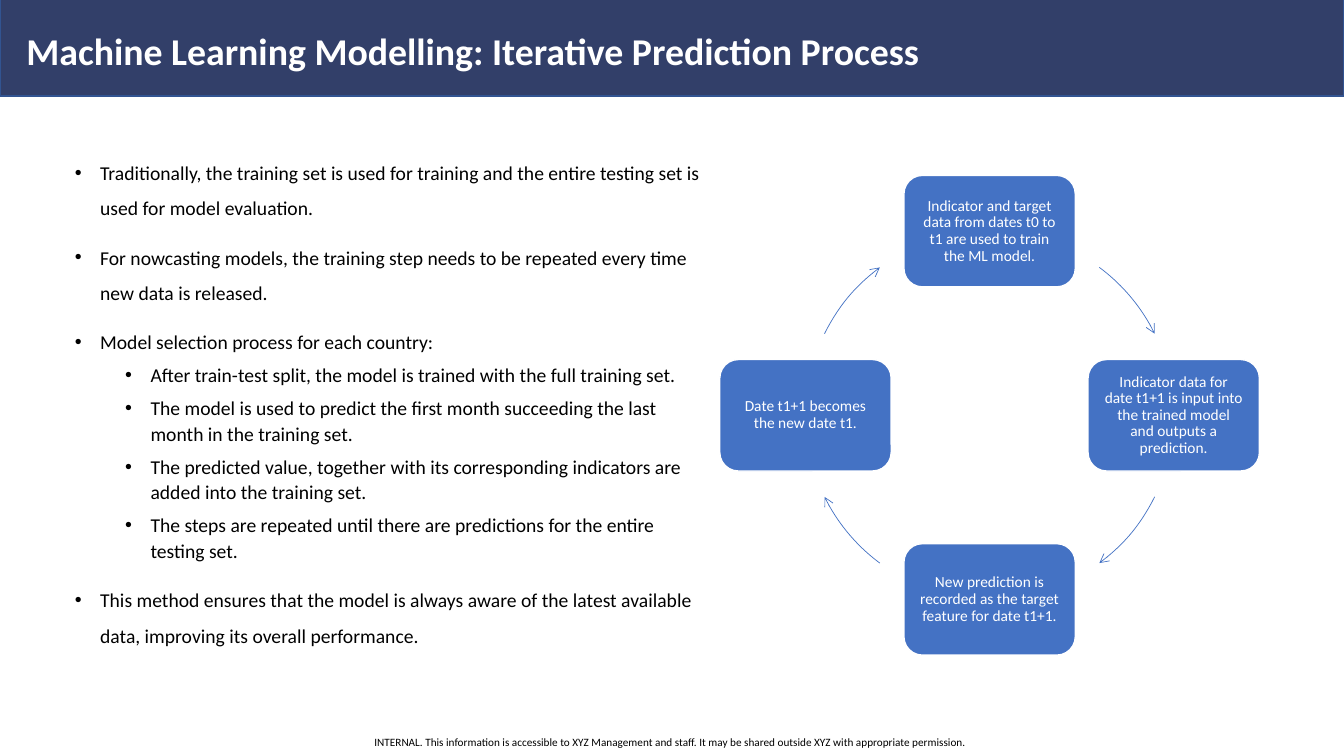
from lxml.etree import SubElement
from pptx import Presentation
from pptx.dml.color import RGBColor
from pptx.enum.shapes import MSO_SHAPE
from pptx.enum.text import MSO_ANCHOR, MSO_AUTO_SIZE, PP_ALIGN
from pptx.oxml.ns import qn
from pptx.util import Cm, Pt

TITLE = "Machine Learning Modelling: Iterative Prediction Process"
POINTS = [
    (0, "Traditionally, the training set is used for training and the entire "
        "testing set is used for model evaluation."),
    (0, "For nowcasting models, the training step needs to be repeated every "
        "time new data is released."),
    (0, "Model selection process for each country:"),
    (1, "After train-test split, the model is trained with the full training set."),
    (1, "The model is used to predict the first month succeeding the last "
        "month in the training set."),
    (1, "The predicted value, together with its corresponding indicators are "
        "added into the training set."),
    (1, "The steps are repeated until there are predictions for the entire "
        "testing set."),
    (0, "This method ensures that the model is always aware of the latest "
        "available data, improving its overall performance."),
]
STEPS = [
    "Indicator and target data from dates t0 to t1 are used to train the ML model.",
    "Indicator data for date t1+1 is input into the trained model and outputs "
    "a prediction.",
    "New prediction is recorded as the target feature for date t1+1.",
    "Date t1+1 becomes the new date t1.",
]
NOTICE = ("INTERNAL. This information is accessible to XYZ Management and staff. "
          "It may be shared outside XYZ with appropriate permission.")
SIDES = [(0, -1), (1, 0), (0, 1), (-1, 0)]  # clockwise from the top


def color(code):
    return RGBColor.from_string(code)


def place(shape, left, top, width, height):
    shape.left, shape.top = Cm(left), Cm(top)
    shape.width, shape.height = Cm(width), Cm(height)


def write(para, text, size, ink, bold=False):
    run = para.add_run()
    run.text = text
    font = run.font
    font.name, font.size, font.bold = "Calibri", Pt(size), bold
    font.color.rgb = color(ink)


def outline(shape, ink, width):
    shape.shadow.inherit = False
    shape.line.color.rgb = color(ink)
    shape.line.width = Pt(width)


def block(slide, kind, box, fill, edge):
    left, top, width, height = box
    shape = slide.shapes.add_shape(kind, Cm(left), Cm(top), Cm(width), Cm(height))
    shape.fill.solid()
    shape.fill.fore_color.rgb = color(fill)
    outline(shape, edge, 1)
    return shape


def bullet(para, indent):
    """Give the paragraph a hanging round bullet; indent is in cm."""
    props = para._p.get_or_add_pPr()
    props.set("marL", str(Cm(indent)))
    props.set("indent", str(Cm(-0.64)))
    SubElement(props, qn("a:buFont")).set("typeface", "Arial")
    SubElement(props, qn("a:buChar")).set("char", "•")


def header(slide, left, top, width, height):
    bar = block(slide, MSO_SHAPE.RECTANGLE, (left, top, width, height),
                "323F69", "325491")
    slide.shapes.element.insert(2, bar._element)  # behind the title
    title = slide.shapes.title
    place(title, left + 0.41, top + 0.74, width - 6.4, 1.3)
    frame = title.text_frame
    frame.auto_size = MSO_AUTO_SIZE.NONE
    frame.vertical_anchor = MSO_ANCHOR.MIDDLE
    para = frame.paragraphs[0]
    para.alignment, para.line_spacing = PP_ALIGN.LEFT, 0.9
    write(para, TITLE, 27, "FFFFFF", True)


def points(slide, left, top, width, height):
    body = slide.placeholders[1]
    place(body, left, top, width, height)
    frame = body.text_frame
    frame.auto_size = MSO_AUTO_SIZE.NONE
    for i, (level, text) in enumerate(POINTS):
        para = frame.add_paragraph() if i else frame.paragraphs[0]
        para.level = level
        para.line_spacing = 1.1 if level else 1.5
        para.space_before = Pt(5 if level else 10)
        bullet(para, 1.91 if level else 0.64)
        write(para, text, 14, "000000")


def node(slide, box, text):
    shape = block(slide, MSO_SHAPE.ROUNDED_RECTANGLE, box, "4472C4", "FFFFFF")
    frame = shape.text_frame
    frame.word_wrap = True
    frame.vertical_anchor = MSO_ANCHOR.MIDDLE
    frame.margin_left = frame.margin_right = Cm(0.27)
    frame.margin_top = frame.margin_bottom = Cm(0.27)
    para = frame.paragraphs[0]
    para.alignment, para.line_spacing = PP_ALIGN.CENTER, 0.9
    write(para, text, 11, "FFFFFF")


def arc(slide, left, top, size, start):
    """Draw a curved arrow on the ring, clockwise from start in degrees."""
    shape = slide.shapes.add_shape(MSO_SHAPE.ARC, Cm(left), Cm(top),
                                   Cm(size), Cm(size))
    for i, angle in enumerate((start, start + 27.1)):
        shape.adjustments[i] = angle % 360 * 0.6  # 60000 units to a degree
    shape.fill.background()
    outline(shape, "4472C4", 0.5)
    SubElement(shape.line._get_or_add_ln(), qn("a:tailEnd")).set("type", "arrow")


def cycle(slide, left, top, width, height):
    wide, high = 4.32, 2.81
    size = height - high
    midx, midy = left + width / 2, top + height / 2
    for i, ((dx, dy), text) in enumerate(zip(SIDES, STEPS)):
        box = (midx + dx * size / 2 - wide / 2,
               midy + dy * size / 2 - high / 2, wide, high)
        node(slide, box, text)
        gap = 26.3 if i % 2 else 36.6
        arc(slide, midx - size / 2, midy - size / 2, size, 90 * (i - 1) + gap)


def footer(slide, left, top, width, height):
    box = slide.shapes.add_textbox(Cm(left), Cm(top), Cm(width), Cm(height))
    frame = box.text_frame
    frame.word_wrap = True
    frame.margin_left = frame.margin_right = 0
    frame.margin_top = frame.margin_bottom = 0
    para = frame.paragraphs[0]
    para.alignment = PP_ALIGN.CENTER
    write(para, NOTICE, 8, "000000")


def main():
    deck = Presentation()
    deck.slide_width, deck.slide_height = Cm(33.87), Cm(19.05)
    slide = deck.slides.add_slide(deck.slide_layouts[1])
    header(slide, 0, -0.05, 33.87, 2.47)
    points(slide, 1.63, 3.63, 16.46, 12.09)
    cycle(slide, 18.14, 4.42, 13.6, 12.09)
    footer(slide, 9, 18.54, 15.8, 0.34)
    deck.save("out.pptx")


if __name__ == "__main__":
    main()
